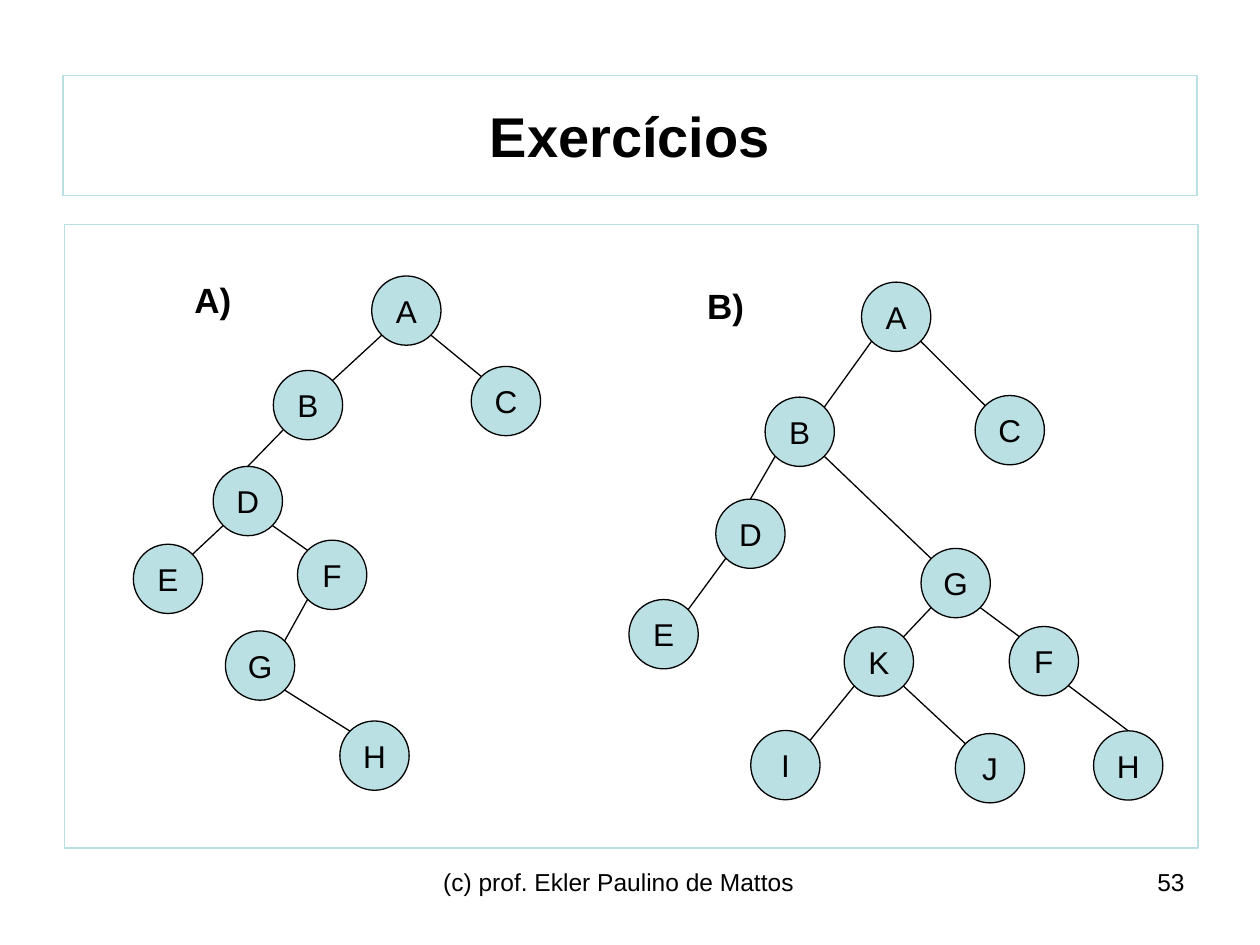
import math
from dataclasses import dataclass
from typing import Any

import pptx
import pptx.util
import pptx.dml.color
import pptx.enum.shapes
import pptx.enum.text
import pptx.oxml

Pt = pptx.util.Pt
Align = pptx.enum.text.PP_ALIGN
Anchor = pptx.enum.text.MSO_ANCHOR
Shape = pptx.enum.shapes.MSO_SHAPE

BLACK, TEAL = "000000", "BBE0E3"
RADIUS = 19.8
DIAG = RADIUS / math.sqrt(2)


@dataclass
class Node:
    name: str
    x: float  # centre
    y: float
    up: str = ""  # name of the parent
    top: bool = False  # edge arrives at the top of the circle


@dataclass
class Label:
    text: str
    box: tuple[float, float, float, float]
    size: float
    align: Any
    bold: bool = False
    wrap: bool = True


TREES = [
    [
        Node("A", 232.2, 177.5),
        Node("B", 176, 231.5, "A"),
        Node("C", 289.1, 229.2, "A"),
        Node("D", 141.6, 286.3, "B", True),
        Node("E", 96, 330.8, "D"),
        Node("F", 189.8, 328.5, "D"),
        Node("G", 148.6, 380.3, "F"),
        Node("H", 214, 431.8, "G"),
    ],
    [
        Node("A", 512.1, 181),
        Node("B", 457, 246.7, "A"),
        Node("C", 577, 245.8, "A"),
        Node("D", 428.8, 305, "B", True),
        Node("E", 379.2, 362.4, "D"),
        Node("G", 546.1, 333.2, "B"),
        Node("K", 502.2, 378, "G"),
        Node("F", 596.5, 377.8, "G"),
        Node("I", 448.8, 437.2, "K"),
        Node("J", 565.7, 439, "K"),
        Node("H", 644.7, 437.4, "F", True),
    ],
]

LABELS = [
    Label("A)", (103.7, 155.5, 36, 31.7), 20, Align.CENTER, True, False),
    Label("B)", (396.7, 159.1, 36, 31.7), 20, Align.CENTER, True, False),
    Label("(c) prof. Ekler Paulino de Mattos", (246.2, 491.8, 228.2, 37.4),
          14, Align.LEFT),
    Label("53", (516.2, 491.8, 167.8, 37.4), 14, Align.RIGHT),
]


def color(code: str) -> Any:
    return pptx.dml.color.RGBColor.from_string(code)


def write(shape: Any, text: str, size: float, align: Any,
          bold: bool = False, **frame: Any) -> None:
    body = shape.text_frame
    for key, value in frame.items():
        setattr(body, key, value)
    para = body.paragraphs[0]
    para.text, para.alignment = text, align
    font = para.runs[0].font
    look = {"name": "Arial", "size": Pt(size), "bold": bold}
    for key, value in look.items():
        setattr(font, key, value)
    font.color.rgb = color(BLACK)


def outline(shape: Any, code: str) -> None:
    shape.line.color.rgb = color(code)
    shape.line.width = Pt(0.75)


def add_node(slide: Any, node: Node) -> None:
    shape = slide.shapes.add_shape(
        Shape.OVAL, Pt(node.x - RADIUS), Pt(node.y - RADIUS),
        Pt(2 * RADIUS), Pt(2 * RADIUS))
    shape.shadow.inherit = False
    shape.fill.solid()
    shape.fill.fore_color.rgb = color(TEAL)
    outline(shape, BLACK)
    write(shape, node.name, 18, Align.CENTER, word_wrap=True,
          margin_left=0, margin_right=0, vertical_anchor=Anchor.MIDDLE)


def add_edge(slide: Any, start: Node, end: Node) -> None:
    side = math.copysign(DIAG, end.x - start.x)
    dx, dy = (0, RADIUS) if end.top else (side, DIAG)
    line = slide.shapes.add_connector(
        pptx.enum.shapes.MSO_CONNECTOR.STRAIGHT,
        Pt(start.x + side), Pt(start.y + DIAG),
        Pt(end.x - dx), Pt(end.y - dy))
    outline(line, BLACK)
    props = line.element.spPr
    props.append(pptx.oxml.parse_xml(
        '<a:effectLst xmlns:a='
        '"http://schemas.openxmlformats.org/drawingml/2006/main"/>'))


def add_tree(slide: Any, nodes: list[Node]) -> None:
    named = {node.name: node for node in nodes}
    for node in nodes:
        add_node(slide, node)
        if node.up:
            add_edge(slide, named[node.up], node)


def add_label(slide: Any, label: Label) -> None:
    box = slide.shapes.add_textbox(*map(Pt, label.box))
    write(box, label.text, label.size, label.align, label.bold,
          word_wrap=label.wrap)


def main() -> None:
    deck = pptx.Presentation()
    deck.slide_width, deck.slide_height = Pt(720), Pt(540)
    slide = deck.slides.add_slide(deck.slide_layouts[5])

    # Title
    title = slide.shapes.title
    place = {"left": 36, "top": 43.2, "width": 648, "height": 68.4}
    for key, value in place.items():
        setattr(title, key, Pt(value))
    outline(title, TEAL)
    write(title, "Exercícios", 32, Align.CENTER, True,
          vertical_anchor=Anchor.MIDDLE)

    # Frame around the trees
    frame = slide.shapes.add_shape(
        Shape.RECTANGLE, Pt(36.7), Pt(128.2), Pt(648), Pt(356.4))
    frame.shadow.inherit = False
    frame.fill.background()
    outline(frame, TEAL)

    # Trees, their labels and the footer
    for tree in TREES:
        add_tree(slide, tree)
    for label in LABELS:
        add_label(slide, label)

    deck.save("out.pptx")


if __name__ == "__main__":
    main()
